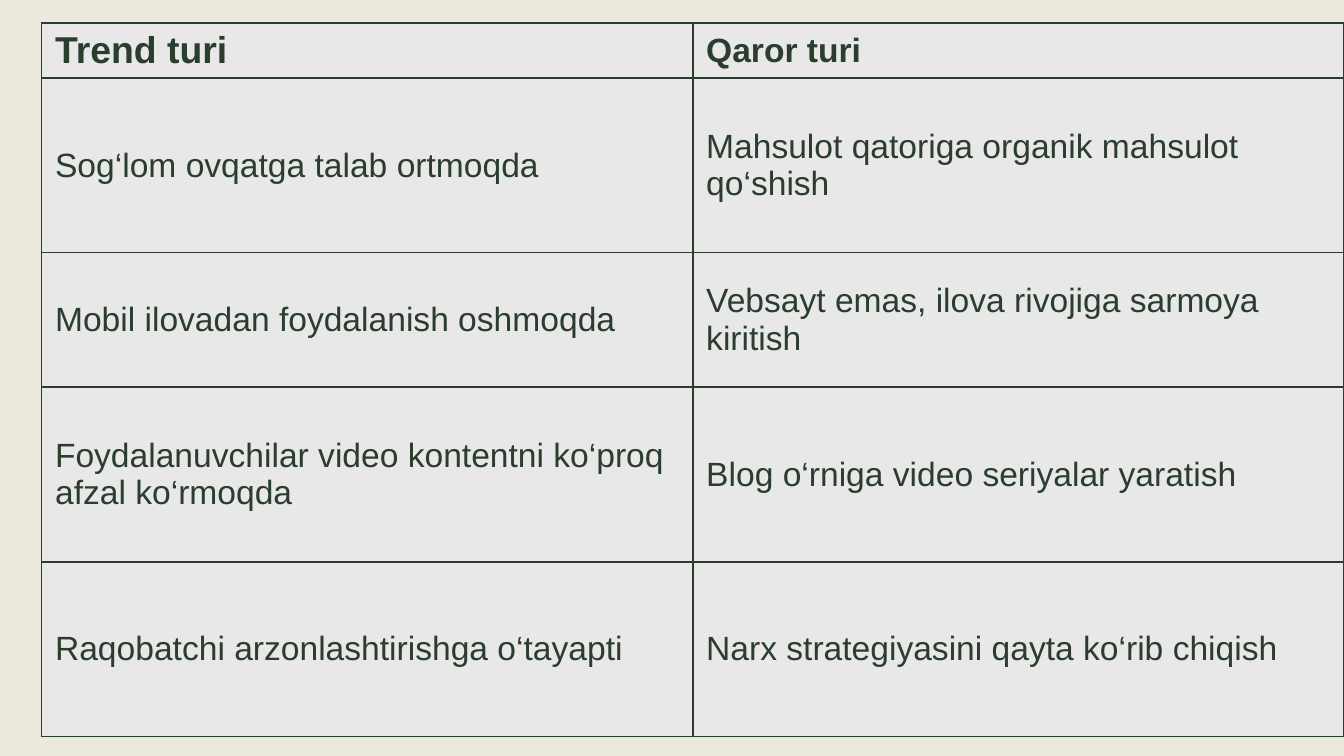
from lxml.etree import SubElement
from pptx import Presentation
from pptx.dml.color import RGBColor
from pptx.enum.text import MSO_ANCHOR
from pptx.oxml.ns import qn
from pptx.util import Inches, Pt

# Content: header row first
ROWS = [
    ("Trend turi", "Qaror turi"),
    ("Sog‘lom ovqatga talab ortmoqda", "Mahsulot qatoriga organik mahsulot qo‘shish"),
    ("Mobil ilovadan foydalanish oshmoqda", "Vebsayt emas, ilova rivojiga sarmoya kiritish"),
    ("Foydalanuvchilar video kontentni ko‘proq afzal ko‘rmoqda",
     "Blog o‘rniga video seriyalar yaratish"),
    ("Raqobatchi arzonlashtirishga o‘tayapti", "Narx strategiyasini qayta ko‘rib chiqish"),
]
ROW_HEIGHTS = [0.4, 1.3, 1, 1.3, 1.3]
COLORS = {"background": "EBE8DE", "cell": "E8E8E8", "ink": "2B3D2D"}
FONT = "Arial"
FIRST_HEADER_SIZE, TEXT_SIZE = 20, 18
SLIDE_WIDTH = 10
SLIDE_HEIGHT = SLIDE_WIDTH * 9 / 16
LEFT, TOP = 0.31, 0.17


def color(name):
    return RGBColor.from_string(COLORS[name])


def add_borders(cell):
    properties = cell._tc.get_or_add_tcPr()
    for position, side in enumerate(("a:lnL", "a:lnR", "a:lnT", "a:lnB")):
        line = SubElement(properties, qn(side), w=str(Pt(1)))
        fill = SubElement(line, qn("a:solidFill"))
        SubElement(fill, qn("a:srgbClr"), val=COLORS["ink"])
        properties.insert(position, line)  # borders come before the fill


def format_cell(cell, text, size, bold):
    cell.fill.solid()
    cell.fill.fore_color.rgb = color("cell")
    cell.vertical_anchor = MSO_ANCHOR.MIDDLE
    add_borders(cell)
    paragraph = cell.text_frame.paragraphs[0]
    paragraph.text = text
    font = paragraph.runs[0].font
    font.name, font.size, font.bold = FONT, Pt(size), bold
    font.color.rgb = color("ink")


# Slide and background
presentation = Presentation()
presentation.slide_width = Inches(SLIDE_WIDTH)
presentation.slide_height = Inches(SLIDE_HEIGHT)
slide = presentation.slides.add_slide(presentation.slide_layouts[6])
slide.background.fill.solid()
slide.background.fill.fore_color.rgb = color("background")

# Table reaching the right edge of the slide, with equal columns
table = slide.shapes.add_table(
    len(ROWS), len(ROWS[0]), Inches(LEFT), Inches(TOP),
    Inches(SLIDE_WIDTH - LEFT), Inches(sum(ROW_HEIGHTS))).table
for row, height in zip(table.rows, ROW_HEIGHTS):
    row.height = Inches(height)

for row_index, texts in enumerate(ROWS):
    for column_index, text in enumerate(texts):
        is_first = row_index == column_index == 0
        format_cell(table.cell(row_index, column_index), text,
                    FIRST_HEADER_SIZE if is_first else TEXT_SIZE,
                    bold=row_index == 0)

presentation.save("out.pptx")
